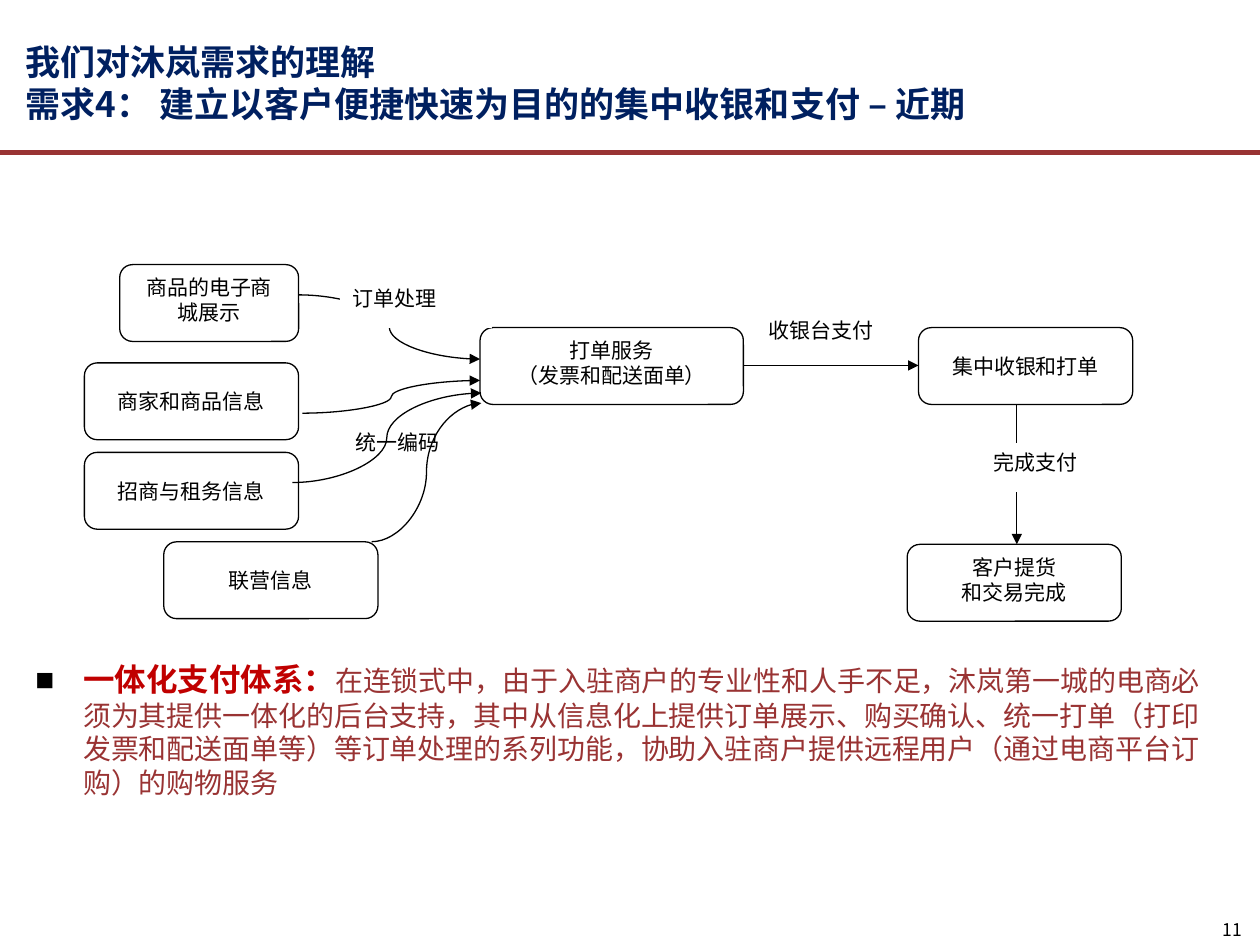
from dataclasses import dataclass

from lxml.etree import SubElement
from pptx import Presentation
from pptx.dml.color import RGBColor
from pptx.enum.shapes import MSO_CONNECTOR, MSO_SHAPE
from pptx.enum.text import MSO_ANCHOR, PP_ALIGN
from pptx.oxml.ns import qn
from pptx.util import Inches, Pt

NAVY = RGBColor(0x00, 0x20, 0x60)
BRICK = RGBColor(0x99, 0x33, 0x33)
RED = RGBColor(0xC0, 0x00, 0x00)
BLACK = RGBColor(0x00, 0x00, 0x00)
WHITE = RGBColor(0xFF, 0xFF, 0xFF)
LATIN_FONT = "Arial"
CHINESE_FONT = "Noto Sans CJK SC"
COLUMNS, ROWS = 100, 75
NODE_WIDTH, NODE_HEIGHT = 17, 6.1
LABEL_WIDTH, LABEL_HEIGHT = 12, 3.8


@dataclass
class Grid:
    """Region measured in columns and rows of the slide."""

    column: int
    row: int
    left: float
    top: float
    width: float
    height: float

    def point(self, x, y):
        """Return the slide position of a point inside the region."""
        return int((self.left + x) * self.column), int((self.top + y) * self.row)

    def frame(self, x, y, width, height):
        """Return the slide position and size of a part of the region."""
        return *self.point(x, y), int(width * self.column), int(height * self.row)

    def region(self, left, top, width, height):
        """Return a smaller region with the same columns and rows."""
        return Grid(self.column, self.row, self.left + left, self.top + top, width, height)


def place(shape, box):
    """Fit a shape to the whole of a region."""
    shape.left, shape.top, shape.width, shape.height = box.frame(0, 0, box.width, box.height)


def add_run(paragraph, text, size, color, bold=False, font=LATIN_FONT):
    """Append one formatted run to a paragraph."""
    run = paragraph.add_run()
    run.text = text
    run.font.size = Pt(size)
    run.font.bold = bold
    run.font.name = font
    run.font.color.rgb = color
    SubElement(run.font._element, qn("a:ea"), typeface=CHINESE_FONT)


def set_frame(frame, anchor, margin=None):
    """Set wrapping, anchor and optional equal margins of a text frame."""
    frame.word_wrap = True
    frame.vertical_anchor = anchor
    if margin is not None:
        frame.margin_left = frame.margin_right = margin
        frame.margin_top = frame.margin_bottom = margin


def add_line(slide, start, end, kind=MSO_CONNECTOR.STRAIGHT, color=BLACK, width=0.75, arrow=True):
    """Draw a line or curve, with an arrowhead at its end if wanted."""
    connector = slide.shapes.add_connector(kind, *start, *end)
    connector.line.color.rgb = color
    connector.line.width = Pt(width)
    if arrow:
        SubElement(connector.line._get_or_add_ln(), qn("a:tailEnd"), type="triangle")
    SubElement(connector._element.spPr, qn("a:effectLst"))


def add_box(slide, box, kind, lines, line_color, anchor, alignment):
    """Draw a white box that holds one paragraph per line."""
    shape = slide.shapes.add_shape(kind, *box)
    shape.shadow.inherit = False
    shape.fill.solid()
    shape.fill.fore_color.rgb = WHITE
    shape.line.color.rgb = line_color
    shape.line.width = Pt(0.75)
    frame = shape.text_frame
    set_frame(frame, anchor)
    for index, text in enumerate(lines):
        paragraph = frame.add_paragraph() if index else frame.paragraphs[0]
        paragraph.alignment = alignment
        add_run(paragraph, text, 12, BLACK)


def add_node(slide, grid, x, y, *lines, width=NODE_WIDTH, anchor=MSO_ANCHOR.MIDDLE):
    """Draw one rounded step of the flow."""
    add_box(slide, grid.frame(x, y, width, NODE_HEIGHT), MSO_SHAPE.ROUNDED_RECTANGLE,
            lines, BLACK, anchor, PP_ALIGN.CENTER)


def add_label(slide, grid, x, y, text, width=LABEL_WIDTH):
    """Draw one white label of the flow."""
    add_box(slide, grid.frame(x, y, width, LABEL_HEIGHT), MSO_SHAPE.RECTANGLE,
            [text], WHITE, MSO_ANCHOR.TOP, PP_ALIGN.LEFT)


def build_title(slide, box):
    """Fill the two-line title."""
    title = slide.shapes.title
    place(title, box)
    set_frame(title.text_frame, MSO_ANCHOR.BOTTOM, 0)
    paragraph = title.text_frame.paragraphs[0]
    paragraph.alignment = PP_ALIGN.LEFT
    add_run(paragraph, "我们对沐岚需求的理解", 20, NAVY, True, CHINESE_FONT)
    paragraph.add_line_break()
    add_run(paragraph, "需求4： 建立以客户便捷快速为目的的集中收银和支付 – 近期",
            20, NAVY, True, CHINESE_FONT)


def build_flow(slide, grid):
    """Draw the payment flow from merchant information to delivery."""
    curve = MSO_CONNECTOR.CURVE
    add_node(slide, grid, 2.8, 0, "商品的电子商城展示", width=14.2, anchor=MSO_ANCHOR.TOP)
    add_node(slide, grid, 0, 7.8, "商家和商品信息")
    add_node(slide, grid, 31.4, 5, "打单服务", "（发票和配送面单）", width=20.9,
             anchor=MSO_ANCHOR.TOP)
    add_node(slide, grid, 65.3, 22.2, "客户提货", "和交易完成", anchor=MSO_ANCHOR.TOP)
    add_node(slide, grid, 66.2, 5, "集中收银和打单")
    add_line(slide, grid.point(17, 2.4), grid.point(31.4, 7.5), curve)
    add_line(slide, grid.point(17.3, 11.8), grid.point(31.4, 9.2), curve)
    add_label(slide, grid, 20.5, 12.6, "统一编码")
    add_label(slide, grid, 20.3, 1.2, "订单处理")
    add_line(slide, grid.point(52.3, 8), grid.point(66.2, 8))
    add_label(slide, grid, 53.3, 3.7, "收银台支付")
    add_line(slide, grid.point(74, 11.1), grid.point(74, 22.2))
    add_label(slide, grid, 71.2, 14.2, "完成支付", width=16.2)
    add_node(slide, grid, 0, 14.9, "招商与租务信息")
    add_node(slide, grid, 6.3, 22, "联营信息")
    add_line(slide, grid.point(16.5, 17.3), grid.point(31.5, 10.2), curve)
    add_line(slide, grid.point(22.8, 22), grid.point(31.5, 11), curve)


def build_body(slide, box):
    """Fill the bulleted explanation."""
    body = slide.placeholders[1]
    place(body, box)
    set_frame(body.text_frame, MSO_ANCHOR.TOP, 0)
    paragraph = body.text_frame.paragraphs[0]
    paragraph.space_before = Pt(0)
    properties = paragraph._p.get_or_add_pPr()
    properties.set("marL", str(Inches(0.38)))
    properties.set("indent", str(-Inches(0.38)))
    bullet_color = SubElement(properties, qn("a:buClr"))
    SubElement(bullet_color, qn("a:srgbClr"), val=str(BLACK))
    SubElement(properties, qn("a:buFont"), typeface=LATIN_FONT)
    SubElement(properties, qn("a:buChar"), char="■")
    add_run(paragraph, "一体化支付体系：", 18, RED, True)
    add_run(paragraph, "在连锁式中，由于入驻商户的专业性和人手不足，沐岚第一城的电商必须为其提供"
            "一体化的后台支持，其中从信息化上提供订单展示、购买确认、统一打单（打印发票和配送面单等）"
            "等订单处理的系列功能，协助入驻商户提供远程用户（通过电商平台订购）的购物服务", 16, BRICK)


def build_page_number(slide, box):
    """Write the page number at the lower right."""
    frame = slide.shapes.add_textbox(*box.frame(0, 0, box.width, box.height)).text_frame
    set_frame(frame, MSO_ANCHOR.BOTTOM, 0)
    paragraph = frame.paragraphs[0]
    paragraph.alignment = PP_ALIGN.RIGHT
    add_run(paragraph, "11", 10, BLACK, font=CHINESE_FONT)


def main():
    """Build the slide and save it."""
    presentation = Presentation()
    presentation.slide_width, presentation.slide_height = Inches(10), Inches(7.5)
    slide = presentation.slides.add_slide(presentation.slide_layouts[1])
    page = Grid(presentation.slide_width // COLUMNS, presentation.slide_height // ROWS,
                0, 0, COLUMNS, ROWS)
    add_line(slide, page.point(0, 12.1), page.point(COLUMNS, 12.1),
             color=BRICK, width=2.75, arrow=False)
    build_title(slide, page.region(2, 3.2, 96, 6.7))
    build_body(slide, page.region(2.8, 52.4, 93.7, 18))
    build_page_number(slide, page.region(84.6, 72.9, 14, 1.7))
    build_flow(slide, page.region(6.7, 21, 83.2, 28.3))
    presentation.save("out.pptx")


if __name__ == "__main__":
    main()
